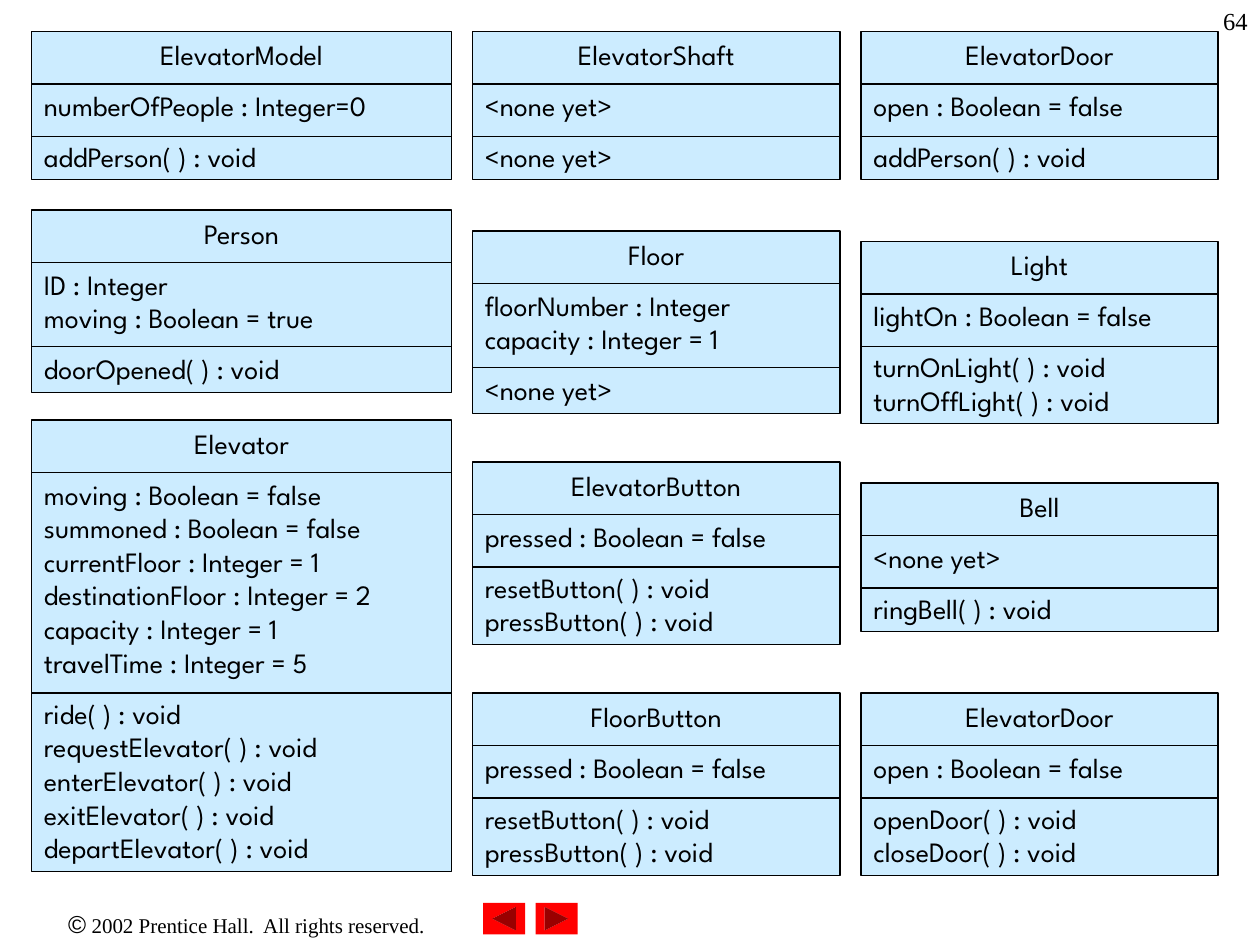
from pptx import Presentation
from pptx.dml.color import RGBColor
from pptx.enum.shapes import MSO_CONNECTOR as Conn, MSO_SHAPE as Shape
from pptx.enum.text import MSO_ANCHOR as Anchor, PP_ALIGN as Align
from pptx.oxml.ns import qn
from pptx.util import Pt
from lxml.etree import SubElement

PX = 9525  # 96 px to the inch


def color(code):
    return RGBColor.from_string(code)


def style(font, name, size):
    font.name, font.size = name, Pt(size)
    font.color.rgb = color("000000")


prs = Presentation()
prs.slide_width, prs.slide_height = 960 * PX, 720 * PX
slide = prs.slides.add_slide(prs.slide_layouts[6])
shapes = slide.shapes

# Copyright line
box = shapes.add_textbox(0, 688 * PX, 376 * PX, 33 * PX)
box.text_frame.word_wrap = True
para = box.text_frame.paragraphs[0]
para.alignment = Align.CENTER
for text, name, size in [
    ("©", "Arial", 14),
    (" 2002 Prentice Hall.  All rights reserved.", "Times New Roman", 12),
]:
    run = para.add_run()
    run.text = text
    style(run.font, name, size)

# Navigation buttons
for kind, x in [
    (Shape.ACTION_BUTTON_BACK_OR_PREVIOUS, 368),
    (Shape.ACTION_BUTTON_FORWARD_OR_NEXT, 408),
]:
    button = shapes.add_shape(kind, x * PX, 688 * PX, 32 * PX, 24 * PX)
    button.shadow.inherit = False
    button.fill.solid()
    button.fill.fore_color.rgb = color("FF0000")
    button.line.fill.background()

# Class diagrams by column: left, width, then top, height, name,
# attributes and operations of each class
NONE = ["<none yet>"]
PRESS = ["pressed : Boolean = false"]
RESET = ["resetButton( ) : void", "pressButton( ) : void"]
OPEN = ["open : Boolean = false"]
columns = [
    (24, 320, [
        (24, 113, "ElevatorModel", ["numberOfPeople : Integer=0"],
         ["addPerson( ) : void"]),
        (160, 139, "Person", ["ID : Integer", "moving : Boolean = true"],
         ["doorOpened( ) : void"]),
        (320, 344, "Elevator",
         ["moving : Boolean = false", "summoned : Boolean = false",
          "currentFloor : Integer = 1", "destinationFloor : Integer = 2",
          "capacity : Integer = 1", "travelTime : Integer = 5"],
         ["ride( ) : void", "requestElevator( ) : void",
          "enterElevator( ) : void", "exitElevator( ) : void",
          "departElevator( ) : void"]),
    ]),
    (360, 280, [
        (24, 113, "ElevatorShaft", NONE, NONE),
        (176, 139, "Floor",
         ["floorNumber : Integer", "capacity : Integer = 1"], NONE),
        (352, 139, "ElevatorButton", PRESS, RESET),
        (528, 139, "FloorButton", PRESS, RESET),
    ]),
    (656, 272, [
        (24, 113, "ElevatorDoor", OPEN, ["addPerson( ) : void"]),
        (184, 139, "Light", ["lightOn : Boolean = false"],
         ["turnOnLight( ) : void", "turnOffLight( ) : void"]),
        (368, 113, "Bell", NONE, ["ringBell( ) : void"]),
        (528, 139, "ElevatorDoor", OPEN,
         ["openDoor( ) : void", "closeDoor( ) : void"]),
    ]),
]
HEAD = 40  # height of the name row
ROWS = {1: 40, 2: 64, 6: 168}  # attribute row height by line count

for x, wide, classes in columns:
    for y, high, name, attrs, ops in classes:
        box = shapes.add_shape(Shape.RECTANGLE, x * PX, y * PX,
                               wide * PX, high * PX)
        box.shadow.inherit = False
        box.fill.solid()
        box.fill.fore_color.rgb = color("CCECFF")
        box.line.color.rgb = color("000000")
        box.line.width = Pt(0.75)
        frame = box.text_frame
        frame.word_wrap = True
        frame.vertical_anchor = Anchor.TOP
        for i, lines in enumerate([[name], attrs, ops]):
            para = frame.add_paragraph() if i else frame.paragraphs[0]
            para.text = "\v".join(lines)
            para.alignment = Align.LEFT if i else Align.CENTER
            if i:
                para.space_before = Pt(10)
            style(para.font, "League Spartan", 16)

        # Dividers under the name and the attributes
        for row in (y + HEAD, y + HEAD + ROWS[len(attrs)]):
            line = shapes.add_connector(Conn.STRAIGHT, x * PX, row * PX,
                                        (x + wide) * PX, row * PX)
            line.line.color.rgb = color("000000")
            line.line.width = Pt(0.75)
            SubElement(line._element.spPr, qn("a:effectLst"))

# Page number
box = shapes.add_textbox(760 * PX, 0, 200 * PX, 48 * PX)
box.text_frame.word_wrap = True
para = box.text_frame.paragraphs[0]
para.text = "64"
para.alignment = Align.RIGHT
style(para.font, "Times New Roman", 14)

prs.save("out.pptx")
